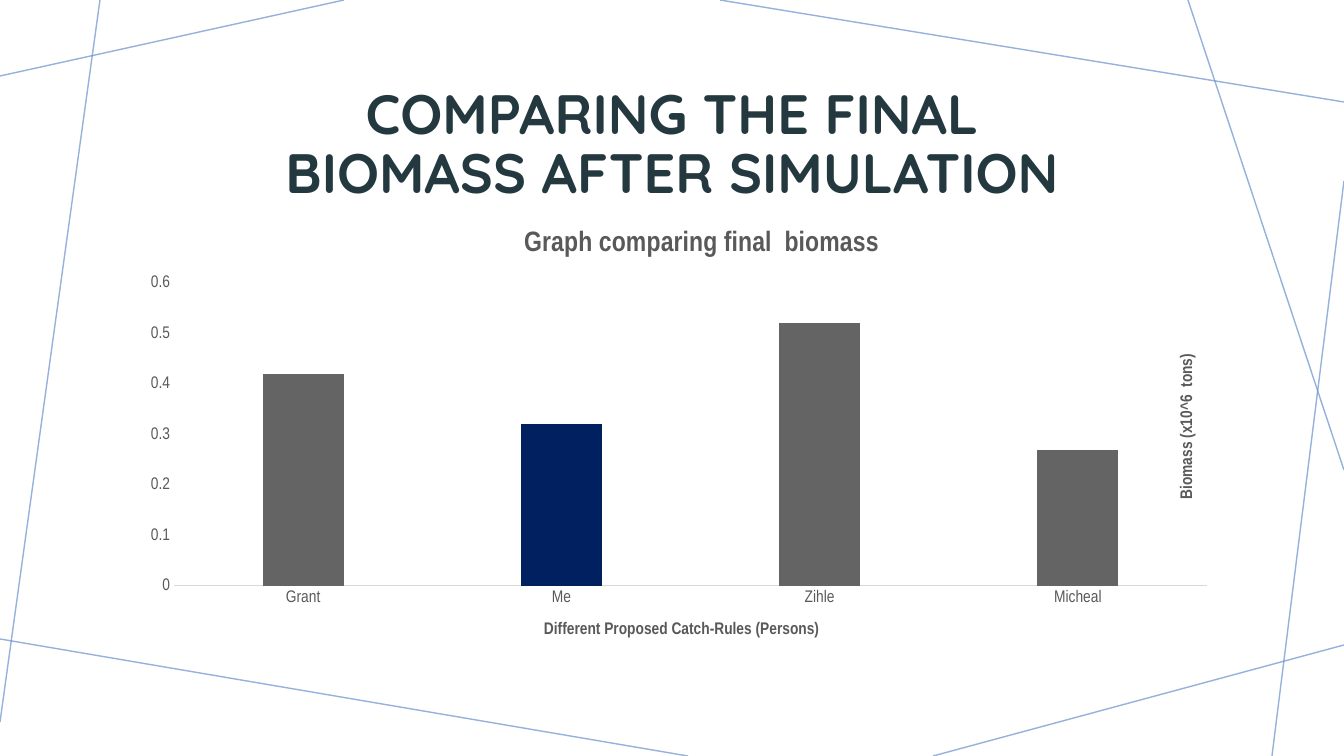
from lxml.etree import SubElement
from pptx import Presentation
from pptx.chart.data import CategoryChartData
from pptx.dml.color import RGBColor
from pptx.enum.chart import XL_CHART_TYPE as ChartType, XL_TICK_MARK as TickMark
from pptx.enum.shapes import MSO_CONNECTOR as Connector
from pptx.enum.text import MSO_ANCHOR as Anchor, MSO_AUTO_SIZE as AutoSize, PP_ALIGN as Align
from pptx.oxml import parse_xml
from pptx.oxml.ns import nsdecls, qn
from pptx.util import Pt

EMU_PER_PIXEL = 914400 / 100.8
PAGE_SIZE = (1344, 756)
TITLE_ONLY = 5


def px(length):
    """Turn picture pixels into EMU."""
    return round(length * EMU_PER_PIXEL)


def rgb(code):
    """Turn a hex string into a colour."""
    return RGBColor.from_string(code)


def set_font(font, name, size, colour, bold=False):
    """Give a font its face, size, colour and weight."""
    font.name, font.size, font.bold = name, Pt(size), bold
    font.color.rgb = rgb(colour)


def set_layout(parent, index, inner=False, **fractions):
    """Place a chart part by fractions of the chart's size."""
    for old in parent.findall(qn("c:layout")):
        parent.remove(old)
    layout = parse_xml(f"<c:layout {nsdecls('c')}><c:manualLayout/></c:layout>")
    manual = layout[0]
    if inner:
        SubElement(manual, qn("c:layoutTarget")).set("val", "inner")
    for key in "xy":
        SubElement(manual, qn(f"c:{key}Mode")).set("val", "edge")
    for key, fraction in fractions.items():
        SubElement(manual, qn(f"c:{key}")).set("val", str(fraction))
    parent.insert(index, layout)


class SlideBuilder:
    """Holds the style and the current slide."""

    title_font, chart_font = "Quicksand", "Arial Narrow"
    title_colour, chart_colour = "24393F", "595959"
    frame_colour, axis_colour = "6A90CE", "D9D9D9"
    bar_colour, highlight_colour = "646464", "002060"

    def __init__(self, deck):
        """Add a title-only slide to the deck."""
        self.page = deck.slides.add_slide(deck.slide_layouts[TITLE_ONLY])

    def line(self, start, end):
        """Draw one translucent line of the frame."""
        line = self.page.shapes.add_connector(
            Connector.STRAIGHT, *map(px, start), *map(px, end))
        line.line.width = Pt(1)
        line.line.color.rgb = rgb(self.frame_colour)
        colour = line.line._get_or_add_ln().find(".//" + qn("a:srgbClr"))
        SubElement(colour, qn("a:alpha")).set("val", "70000")
        SubElement(line._element.spPr, qn("a:effectLst"))

    def title(self, text, left, top, width, height):
        """Place and format the slide title."""
        box = self.page.shapes.title
        box.left, box.top, box.width, box.height = map(px, (left, top, width, height))
        frame = box.text_frame
        frame.text = text
        frame.word_wrap, frame.auto_size = True, AutoSize.NONE
        frame.vertical_anchor = Anchor.MIDDLE
        para = frame.paragraphs[0]
        para.alignment, para.line_spacing = Align.CENTER, 0.9
        set_font(para.font, self.title_font, 39.6, self.title_colour, True)

    def chart_label(self, label, text, size, x, y):
        """Write and place a chart or axis title."""
        frame = label.text_frame
        frame.text = text
        set_font(frame.paragraphs[0].font, self.chart_font, size, self.chart_colour, True)
        set_layout(label._element, 1, x=x, y=y)

    def axis(self, axis, text, x, y):
        """Format an axis and its title."""
        axis.has_major_gridlines = False
        axis.major_tick_mark = axis.minor_tick_mark = TickMark.NONE
        set_font(axis.tick_labels.font, self.chart_font, 12, self.chart_colour)
        self.chart_label(axis.axis_title, text, 12, x, y)

    def column_chart(self, title, category_title, value_title, biomass, highlight,
                     left, top, width, height):
        """Draw the column chart with one column highlighted."""
        data = CategoryChartData()
        data.categories = list(biomass)
        data.add_series("Series 1", list(biomass.values()))
        chart = self.page.shapes.add_chart(
            ChartType.COLUMN_CLUSTERED, *map(px, (left, top, width, height)), data).chart
        chart.has_legend = False
        chart.font.name, chart.font.size = self.chart_font, Pt(10)
        self.chart_label(chart.chart_title, title, 20, 0.36, 0)
        set_layout(chart._chartSpace.chart.plotArea, 0, True,
                   x=0.044, y=0.137, w=0.946, h=0.683)

        self.axis(chart.category_axis, category_title, 0.38, 0.89)
        chart.category_axis.format.line.color.rgb = rgb(self.axis_colour)
        chart.category_axis.format.line.width = Pt(0.75)

        values = chart.value_axis
        self.axis(values, value_title, 0.96, 0.29)
        values.format.line.fill.background()
        values.minimum_scale, values.maximum_scale, values.major_unit = 0, 0.6, 0.1
        values.tick_labels.number_format = "General"
        values.tick_labels.number_format_is_linked = False
        body = values.axis_title.text_frame._txBody.bodyPr
        body.set("rot", "-5400000")
        body.set("vert", "horz")

        plot = chart.plots[0]
        plot.gap_width, plot.overlap, plot.vary_by_categories = 219, -27, False
        series = plot.series[0]
        column = series.points[list(biomass).index(highlight)]
        for part, colour in ((series, self.bar_colour), (column, self.highlight_colour)):
            part.format.fill.solid()
            part.format.fill.fore_color.rgb = rgb(colour)


FRAME_LINES = [
    ((344, 0), (0, 76)),
    ((100, 0), (0, 722)),
    ((688, 756), (0, 639)),
    ((1344, 645), (933, 756)),
    ((1344, 181), (1272, 756)),
    ((1344, 470), (1188, 0)),
    ((1344, 102), (720, 0)),
]
BIOMASS = {"Grant": 0.42, "Me": 0.32, "Zihle": 0.52, "Micheal": 0.27}

deck = Presentation()
deck.slide_width, deck.slide_height = map(px, PAGE_SIZE)
slide = SlideBuilder(deck)
for start, end in FRAME_LINES:
    slide.line(start, end)
slide.title("COMPARING THE FINAL BIOMASS AFTER SIMULATION", 251, 70, 842, 152)
slide.column_chart("Graph comparing final  biomass", "Different Proposed Catch-Rules (Persons)",
                   "Biomass (x10^6  tons)", BIOMASS, "Me", 126, 222, 1092, 444)
deck.save("out.pptx")
